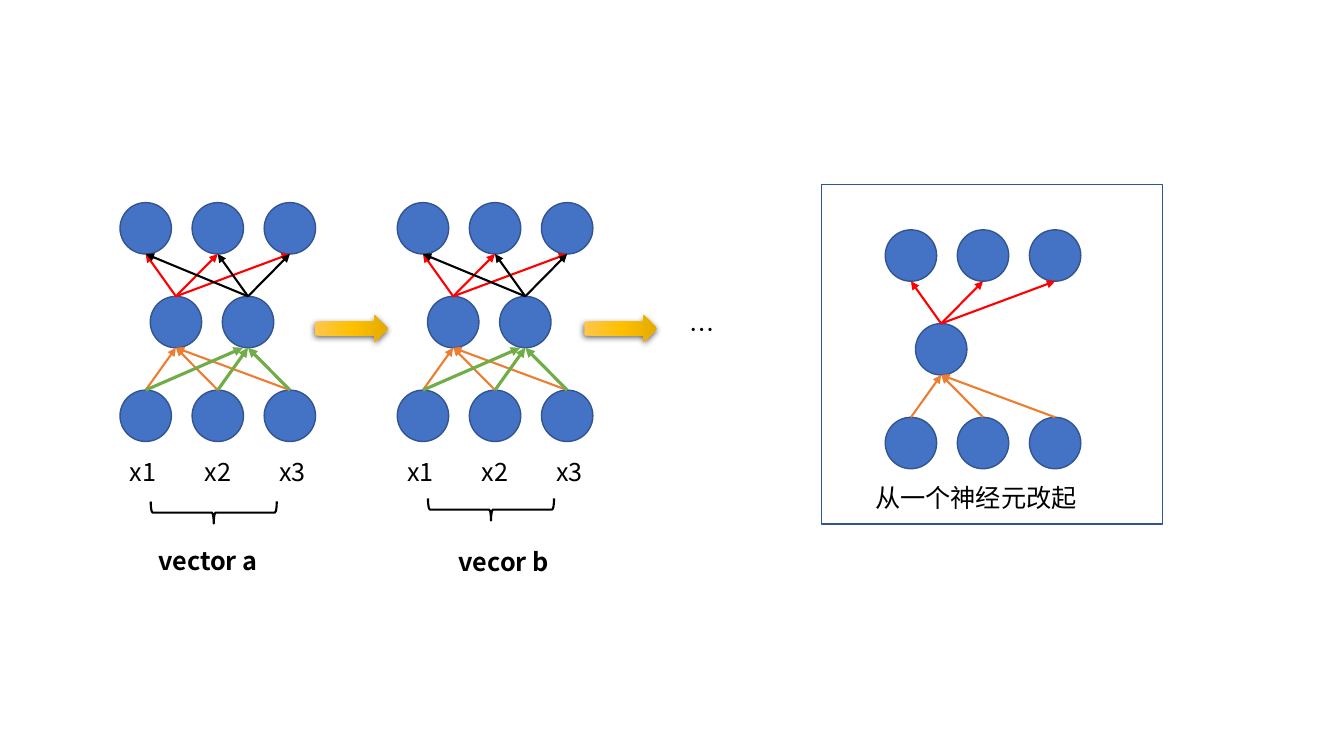
from lxml import etree
from pptx import Presentation
from pptx.dml.color import RGBColor
from pptx.enum.shapes import MSO_CONNECTOR, MSO_SHAPE
from pptx.enum.text import MSO_AUTO_SIZE
from pptx.oxml import parse_xml
from pptx.oxml.ns import qn
from pptx.util import Inches, Pt

LINE = MSO_CONNECTOR.STRAIGHT
RECT, OVAL = MSO_SHAPE.RECTANGLE, MSO_SHAPE.OVAL
DOWN, BRACE = MSO_SHAPE.DOWN_ARROW, MSO_SHAPE.LEFT_BRACE
GROW = MSO_AUTO_SIZE.SHAPE_TO_FIT_TEXT
NS = "http://schemas.openxmlformats.org/drawingml/2006/main"

FONT = "Noto Sans CJK SC"
BLUE, EDGE, BLACK = "4472C4", "325491", "000000"
SIZE, COL, ROW, SHIFT = 0.51, 1.43 / 2, 0.93, 0.3

NETS = [(1.19, 2.01, 2), (3.94, 2.01, 2), (8.78, 2.28, 1)]
LINKS = [("ED7D31", 1.5, "FF0000"), ("70AD47", 2.25, BLACK)]
FRAME = (8.15, 1.83, 3.38, 3.37)
BRACES = [(2.01, 4.46, 0.22, 1.25), (4.76, 4.43, 0.22, 1.25)]
STEPS = [(3.35, 2.9, 0.27, 0.72), (6.02, 2.9, 0.27, 0.72)]
INPUTS = ["x1", "x2", "x3"]
LABEL_X, LABEL_Y, LABEL_GAP = (1.19, 3.94), 4.48, 0.74
NOTES = [
    ("vector a", 1.47, 5.36, 1.56, True),
    ("vecor b", 4.45, 5.37, 1.17, True),
    ("从一个神经元改起", 8.58, 4.74, 3.12, False),
    ("…", 6.74, 3.07, 0.72, False),
]
STOPS = [(0, "FFC64B"), (50, "FFC000"), (100, "E3AB00")]


def color(code):
    return RGBColor.from_string(code)


def style(item, values):
    for key, value in values.items():
        setattr(item, key, value)


def stroke(line, code, width):
    line.color.rgb = color(code)
    line.width = Pt(width)


def shape(kind, box, fill=None, line=None, width=1, turn=0):
    part = slide.shapes.add_shape(kind, *map(Inches, box))
    style(part, {"rotation": turn})
    part.shadow.inherit = False
    if fill:
        part.fill.solid()
        part.fill.fore_color.rgb = color(fill)
    else:
        part.fill.background()
    if line:
        stroke(part.line, line, width)
    else:
        part.line.fill.background()
    return part


def arrow(start, end, code, width):
    link = slide.shapes.add_connector(LINE, *map(Inches, start + end))
    stroke(link.line, code, width)
    props = link._element.spPr
    etree.SubElement(props.find(qn("a:ln")), qn("a:tailEnd"), type="triangle")
    etree.SubElement(props, qn("a:effectLst"))


def text(words, left, top, width, bold=False):
    box = slide.shapes.add_textbox(*map(Inches, (left, top, width, 0.4)))
    style(box.text_frame, {"word_wrap": True, "auto_size": GROW})
    run = box.text_frame.paragraphs[0].add_run()
    run.text = words
    style(run.font, {"name": FONT, "size": Pt(18), "bold": bold})
    run.font.color.rgb = color(BLACK)
    latin = run._r.rPr.find(qn("a:latin"))
    latin.addnext(etree.Element(qn("a:ea"), typeface=FONT))


def step(box):
    props = shape(DOWN, box, turn=270)._element.spPr
    stops = "".join(
        f'<a:gs pos="{pos * 1000}"><a:srgbClr val="{code}"/></a:gs>'
        for pos, code in STOPS
    )
    props.replace(props.find(qn("a:noFill")), parse_xml(
        f'<a:gradFill xmlns:a="{NS}" rotWithShape="1"><a:gsLst>{stops}</a:gsLst>'
        '<a:lin ang="5400000" scaled="0"/></a:gradFill>'))
    props.replace(props.find(qn("a:effectLst")), parse_xml(
        f'<a:effectLst xmlns:a="{NS}"><a:outerShdw blurRad="57150" dist="19050" '
        'dir="5400000" algn="ctr" rotWithShape="0"><a:srgbClr val="000000">'
        '<a:alpha val="63000"/></a:srgbClr></a:outerShdw></a:effectLst>'))


def net(left, top, count):
    outer = [left + COL * i for i in range(3)]
    inner = [left + SHIFT + COL * i for i in range(count)]
    rows = [top + ROW * i for i in range(3)]
    for y, cells in zip(rows, (outer, inner, outer)):
        for x in cells:
            shape(OVAL, (x, y, SIZE, SIZE), BLUE, EDGE)
    half = SIZE / 2
    for i, (x, (below, width, above)) in enumerate(zip(inner, LINKS)):
        for j, end in enumerate(outer):
            aim = x + half - (0.05 if i == 1 and j == 0 else 0)
            arrow((end + half, rows[2]), (aim, rows[1] + SIZE), below, width)
        for end in outer:
            arrow((x + half, rows[1]), (end + half, rows[0] + SIZE), above, 1.5)


deck = Presentation()
style(deck, {"slide_width": Inches(13.33), "slide_height": Inches(7.5)})
slide = deck.slides.add_slide(deck.slide_layouts[6])

shape(RECT, FRAME, line=EDGE)
for spot in NETS:
    net(*spot)
for left in LABEL_X:
    for i, name in enumerate(INPUTS):
        text(name, left + LABEL_GAP * i, LABEL_Y, 0.54 if i else 0.74)
for box in BRACES:
    shape(BRACE, box, line=BLACK, width=1.5, turn=270)
for box in STEPS:
    step(box)
for note in NOTES:
    text(*note)

deck.save("out.pptx")
